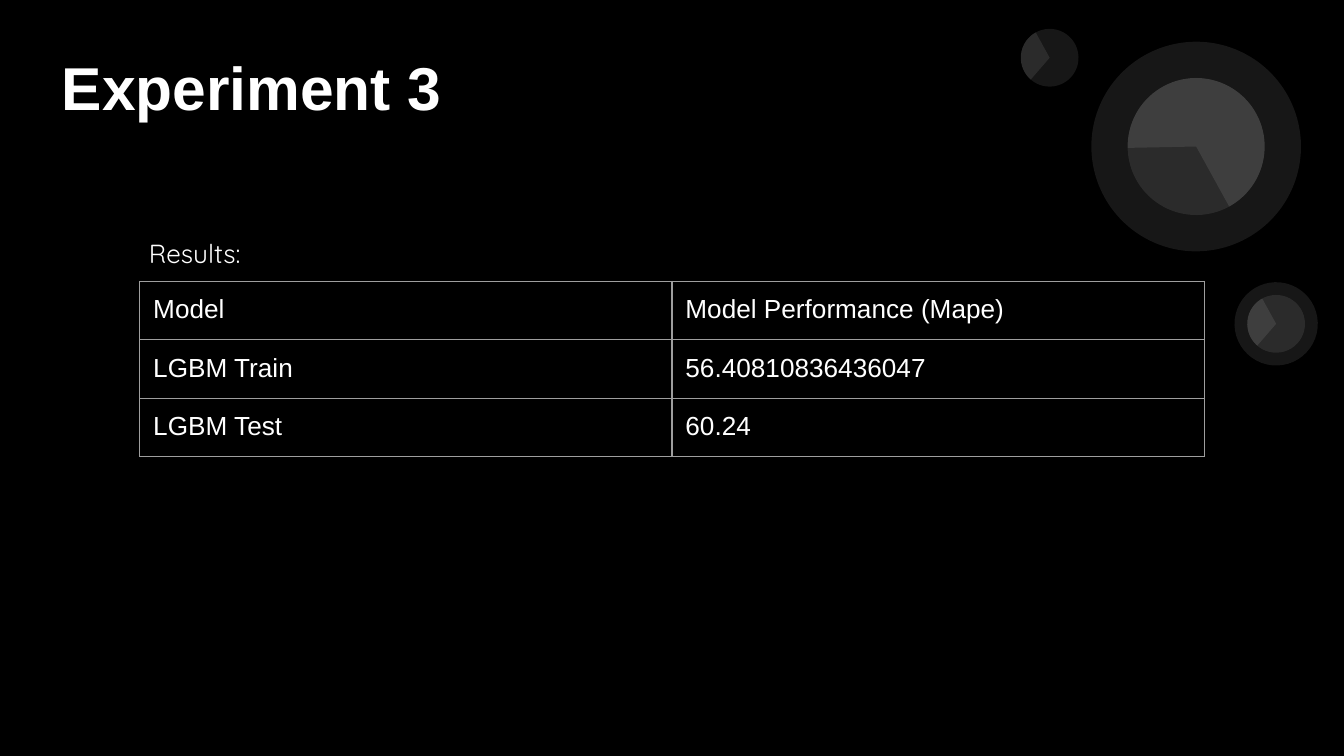
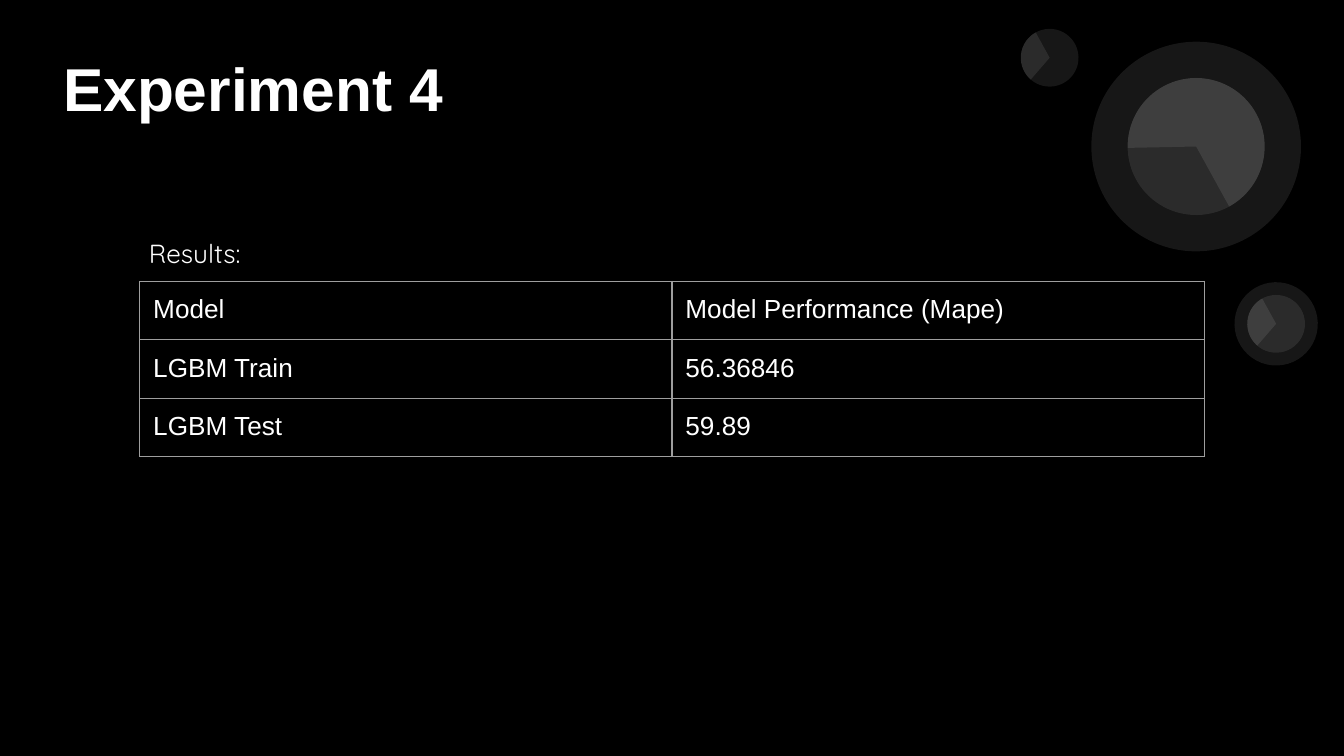
import dataclasses

import lxml.etree
import pptx
import pptx.dml.color
import pptx.enum.shapes
import pptx.enum.text
import pptx.oxml.ns
import pptx.util

PX = 4572  # EMU per px, 200 px to the inch
TITLE_ONLY = 5
INSET = 20
MODEL_COLUMN = ("Model", "LGBM Train", "LGBM Test")


@dataclasses.dataclass(frozen=True)
class Theme:
    background: str = "000000"
    ink: str = "FFFFFF"
    border: str = "9E9E9E"
    dial_alpha: int = 9
    font: str = "Arial"
    label_font: str = "Quicksand"
    title_size: float = 32.4
    text_size: float = 14
    border_width: float = 0.75


@dataclasses.dataclass(frozen=True)
class Dial:
    """A round face with a pie sector; angles in degrees, halo in px."""
    left: int
    top: int
    size: int
    rotation: float
    start: float
    halo: int = 0
    end: float = 205.23


THEME = Theme()
DIALS = (
    Dial(1678, 116, 204, 215.9, 322.95, halo=54),
    Dial(1856, 439, 86, 35.8, 95, halo=19),
    Dial(1519, 43, 86, 35.8, 95),
)
EXPERIMENTS = (
    ("Experiment 3", (72, 59, 698, 140), ("56.40810836436047", "60.24")),
    ("Experiment 4", (74, 62, 626, 136), ("56.36846", "59.89")),
)


def emu(*lengths):
    return [pptx.util.Emu(length * PX) for length in lengths]


def rgb(color):
    return pptx.dml.color.RGBColor.from_string(color)


def add_xml(parent, tag, **attributes):
    return lxml.etree.SubElement(parent, pptx.oxml.ns.qn(tag), attributes)


def set_insets(target):
    """Give a text frame or a table cell the same margin on all sides."""
    inset, = emu(INSET)
    target.margin_left = target.margin_right = inset
    target.margin_top = target.margin_bottom = inset


def style_paragraph(paragraph, font, size, bold=False):
    paragraph.alignment = pptx.enum.text.PP_ALIGN.LEFT
    paragraph.font.name = font
    paragraph.font.size = pptx.util.Pt(size)
    paragraph.font.bold = bold
    paragraph.font.color.rgb = rgb(THEME.ink)


def add_veil(shapes, preset, box, rotation):
    """Add a borderless, nearly transparent shape."""
    shape = shapes.add_shape(preset, *emu(*box))
    shape.rotation = rotation
    shape.shadow.inherit = False
    shape.line.fill.background()
    shape.fill.solid()
    shape.fill.fore_color.rgb = rgb(THEME.ink)
    color = shape.element.spPr.find(".//" + pptx.oxml.ns.qn("a:srgbClr"))
    add_xml(color, "a:alpha", val=str(THEME.dial_alpha * 1000))
    return shape


def add_dial(shapes, dial):
    preset = pptx.enum.shapes.MSO_SHAPE
    group = shapes.add_group_shape()
    face = (dial.left, dial.top, dial.size, dial.size)
    add_veil(group.shapes, preset.OVAL, face, dial.rotation)
    sector = add_veil(group.shapes, preset.PIE, face, dial.rotation)
    for index, angle in enumerate((dial.start, dial.end)):
        sector.adjustments[index] = angle * 0.6  # 60000 units per degree over 100000
    if dial.halo:
        size = dial.size + 2 * dial.halo
        halo = (dial.left - dial.halo, dial.top - dial.halo, size, size)
        add_veil(group.shapes, preset.OVAL, halo, dial.rotation)
    return group


def decorate_layout(layout, slide):
    """Draw the dials on a slide, then hand them to its layout."""
    for dial in DIALS:
        group = add_dial(slide.shapes, dial)
        layout.shapes.element.append(group.element)


def fill_title(slide, text, box):
    title = slide.shapes.title
    title.left, title.top, title.width, title.height = emu(*box)
    frame = title.text_frame
    frame.text = text
    frame.word_wrap = True
    frame.auto_size = pptx.enum.text.MSO_AUTO_SIZE.NONE
    frame.vertical_anchor = pptx.enum.text.MSO_ANCHOR.MIDDLE
    set_insets(frame)
    style_paragraph(frame.paragraphs[0], THEME.font, THEME.title_size, bold=True)


def add_label(slide, text, box):
    frame = slide.shapes.add_textbox(*emu(*box)).text_frame
    frame.text = text
    frame.word_wrap = True
    frame.auto_size = pptx.enum.text.MSO_AUTO_SIZE.SHAPE_TO_FIT_TEXT
    set_insets(frame)
    paragraph = frame.paragraphs[0]
    paragraph.line_spacing = 1.5
    style_paragraph(paragraph, THEME.label_font, THEME.text_size)


def format_cell(cell, text):
    cell.text = text
    set_insets(cell)
    style_paragraph(cell.text_frame.paragraphs[0], THEME.font, THEME.text_size)
    properties = cell._tc.get_or_add_tcPr()
    width = str(pptx.util.Pt(THEME.border_width))
    for side in ("a:lnL", "a:lnR", "a:lnT", "a:lnB"):
        line = add_xml(properties, side, w=width)
        add_xml(add_xml(line, "a:solidFill"), "a:srgbClr", val=THEME.border)
    cell.fill.background()


def add_results_table(slide, rows, box):
    table = slide.shapes.add_table(len(rows), len(rows[0]), *emu(*box)).table
    table.first_row = table.horz_banding = False
    for row_index, row in enumerate(rows):
        for column_index, text in enumerate(row):
            format_cell(table.cell(row_index, column_index), text)


def build_experiment(slide, title, title_box, scores):
    fill_title(slide, title, title_box)
    add_label(slide, "Results:", (202, 310, 1596, 88))
    rows = list(zip(MODEL_COLUMN, ("Model Performance (Mape)", *scores)))
    add_results_table(slide, rows, (208, 419, 1584, 252))


def main():
    presentation = pptx.Presentation()
    presentation.slide_width, presentation.slide_height = emu(2000, 1125)
    background = presentation.slide_master.background.fill
    background.solid()
    background.fore_color.rgb = rgb(THEME.background)
    layout = presentation.slide_layouts[TITLE_ONLY]
    for placeholder in list(layout.placeholders)[1:]:
        layout.shapes.element.remove(placeholder.element)
    slides = [presentation.slides.add_slide(layout) for _ in EXPERIMENTS]
    decorate_layout(layout, slides[0])
    for slide, experiment in zip(slides, EXPERIMENTS):
        build_experiment(slide, *experiment)
    presentation.save("out.pptx")


if __name__ == "__main__":
    main()
